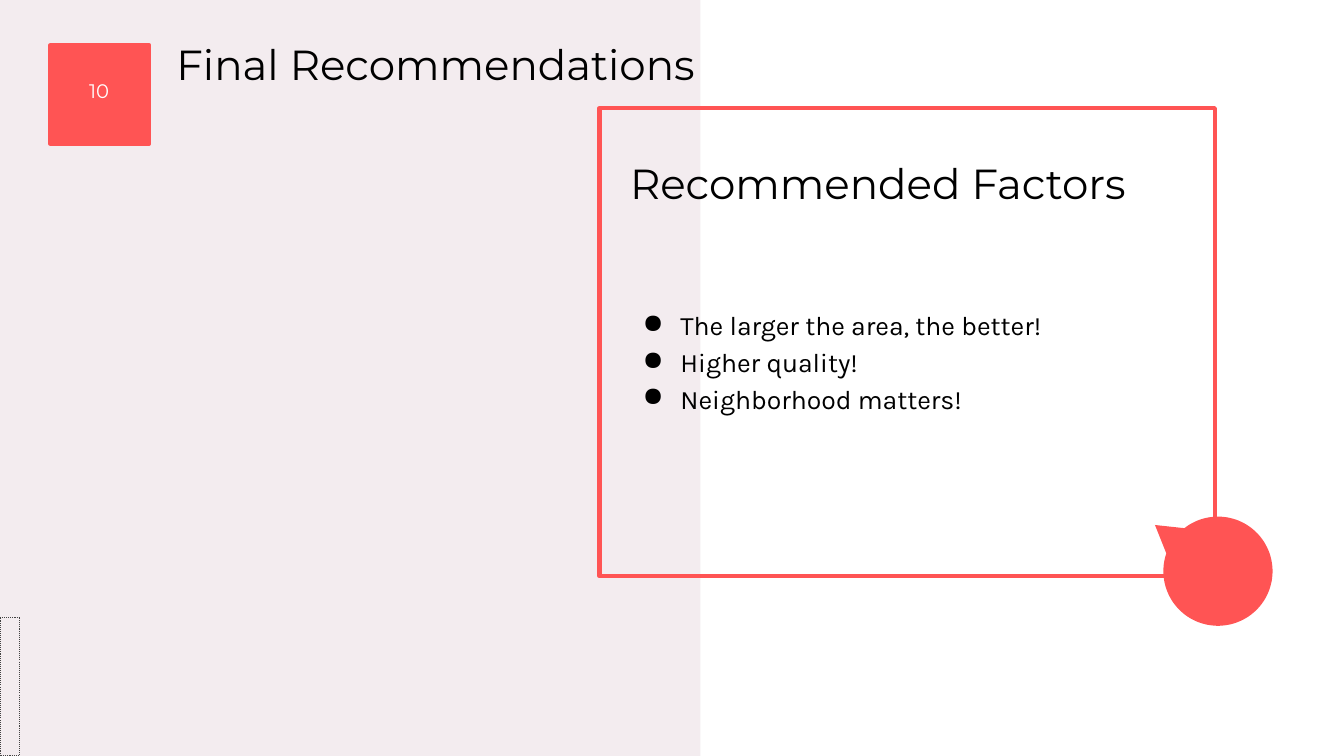
import math

import pptx
import pptx.dml.color
import pptx.enum.dml
import pptx.enum.shapes
import pptx.enum.text
import pptx.oxml
import pptx.oxml.ns
import pptx.util

PX = 9525
CORAL, BLUSH, BLACK, WHITE = "FF5454", "F3ECEF", "000000", "FFFFFF"
FACTORS = [
    "The larger the area, the better!",
    "Higher quality!",
    "Neighborhood matters!",
]


def px(*lengths):
    return [n * PX for n in lengths]


def rgb(value):
    return pptx.dml.color.RGBColor.from_string(value)


def paint(sp, fill=None, line=None, width=3):
    sp.shadow.inherit = False
    if fill:
        sp.fill.solid()
        sp.fill.fore_color.rgb = rgb(fill)
    else:
        sp.fill.background()
    if line:
        sp.line.color.rgb = rgb(line)
        sp.line.width = pptx.util.Pt(width)
    else:
        sp.line.fill.background()


def add_rect(s, box, fill=None, line=None, width=3):
    sp = s.shapes.add_shape(pptx.enum.shapes.MSO_SHAPE.RECTANGLE, *px(*box))
    paint(sp, fill, line, width)
    return sp


def write(sp, lines, size, font, color=BLACK, align="LEFT", inset=12):
    tf = sp.text_frame
    tf.text = "\n".join(lines)
    tf.word_wrap = True
    tf.auto_size = pptx.enum.text.MSO_AUTO_SIZE.NONE
    tf.vertical_anchor = pptx.enum.text.MSO_ANCHOR.TOP
    tf.margin_left = tf.margin_right = tf.margin_top = tf.margin_bottom = inset * PX
    for p in tf.paragraphs:
        p.alignment = pptx.enum.text.PP_ALIGN[align]
        for r in p.runs:
            r.font.size = pptx.util.Pt(size)
            r.font.name = font
            r.font.color.rgb = rgb(color)
    return tf


def add_bullet(p):
    p.line_spacing = 1.15
    pPr = p._p.get_or_add_pPr()
    pPr.set("marL", str(48 * PX))
    pPr.set("indent", str(-36 * PX))
    ns = pptx.oxml.ns.nsdecls("a")
    pPr.append(pptx.oxml.parse_xml(
        f'<a:buClr {ns}><a:srgbClr val="{BLACK}"/></a:buClr>'))
    pPr.append(pptx.oxml.parse_xml(f'<a:buChar {ns} char="●"/>'))


def add_background(s, width, height):
    add_rect(s, (0, 0, width, height), BLUSH)
    tab = add_rect(s, (0, height - 132, 19, 132), BLUSH, "434343", 0.75)
    tab.line.dash_style = pptx.enum.dml.MSO_LINE.ROUND_DOT


def add_header(s, x, y):
    """Place the page number square and, to its right, the slide title."""
    add_rect(s, (x, y, 94, 94), CORAL, CORAL)
    number = s.shapes.add_textbox(*px(x + 20, y + 27, 53, 40))
    write(number, ["10"], 14, "Montserrat", WHITE, "CENTER", inset=5)
    title = s.shapes.title
    title.left, title.top, title.width, title.height = px(x + 108, y - 18, 1108, 76)
    write(title, ["Final Recommendations"], 30, "Montserrat")
    s.shapes.element.append(title.element)  # bring in front of the background


def add_bubble(s, cx, cy, radius):
    """Draw a round speech bubble whose tail points up and to the left."""
    arc = [math.radians(a) for a in range(232, 562, 3)]
    points = [(cx + radius * math.cos(a), cy + radius * math.sin(a)) for a in arc]
    points.append((cx - 60, cy - 44))
    outline = [(round(x * PX), round(y * PX)) for x, y in points]
    builder = s.shapes.build_freeform(*outline[0])
    builder.add_line_segments(outline[1:], close=True)
    paint(builder.convert_to_shape(), CORAL)


def add_factors(s, x, y, width, height):
    """Place the framed list of factors with a bubble at its lower right corner."""
    add_rect(s, (x, y, width, height), line=CORAL)
    heading = s.shapes.add_textbox(*px(x + 17, y + 35, 547, 80))
    write(heading, ["Recommended Factors"], 30, "Montserrat")
    body = s.shapes.add_textbox(*px(x + 17, y + 175, 547, 234))
    for p in write(body, FACTORS, 19, "Karla").paragraphs:
        add_bullet(p)
    add_bubble(s, x + width + 3, y + height - 5, 52)


def main():
    prs = pptx.Presentation()
    prs.slide_width, prs.slide_height = px(1280, 720)
    s = prs.slides.add_slide(prs.slide_layouts[5])
    add_background(s, 667, 720)
    add_header(s, 48, 43)
    add_factors(s, 571, 103, 586, 446)
    prs.save("out.pptx")


if __name__ == "__main__":
    main()
